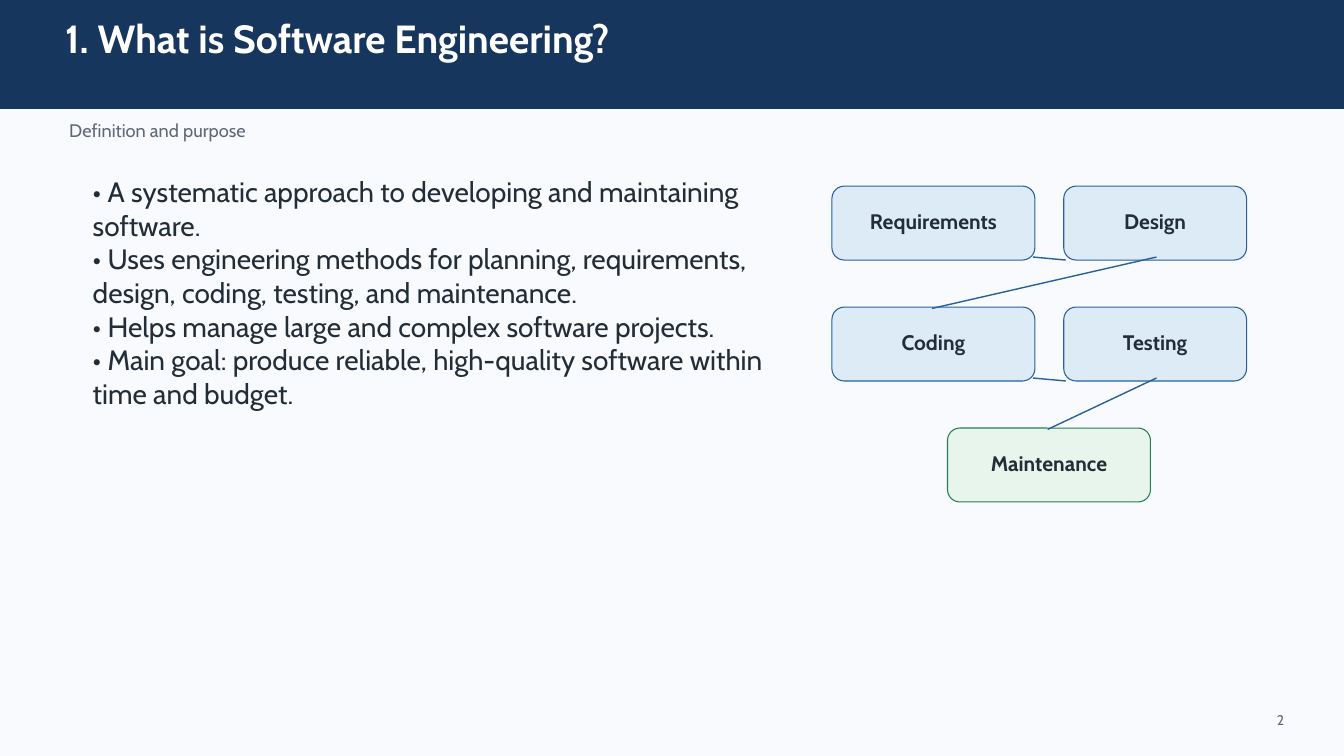
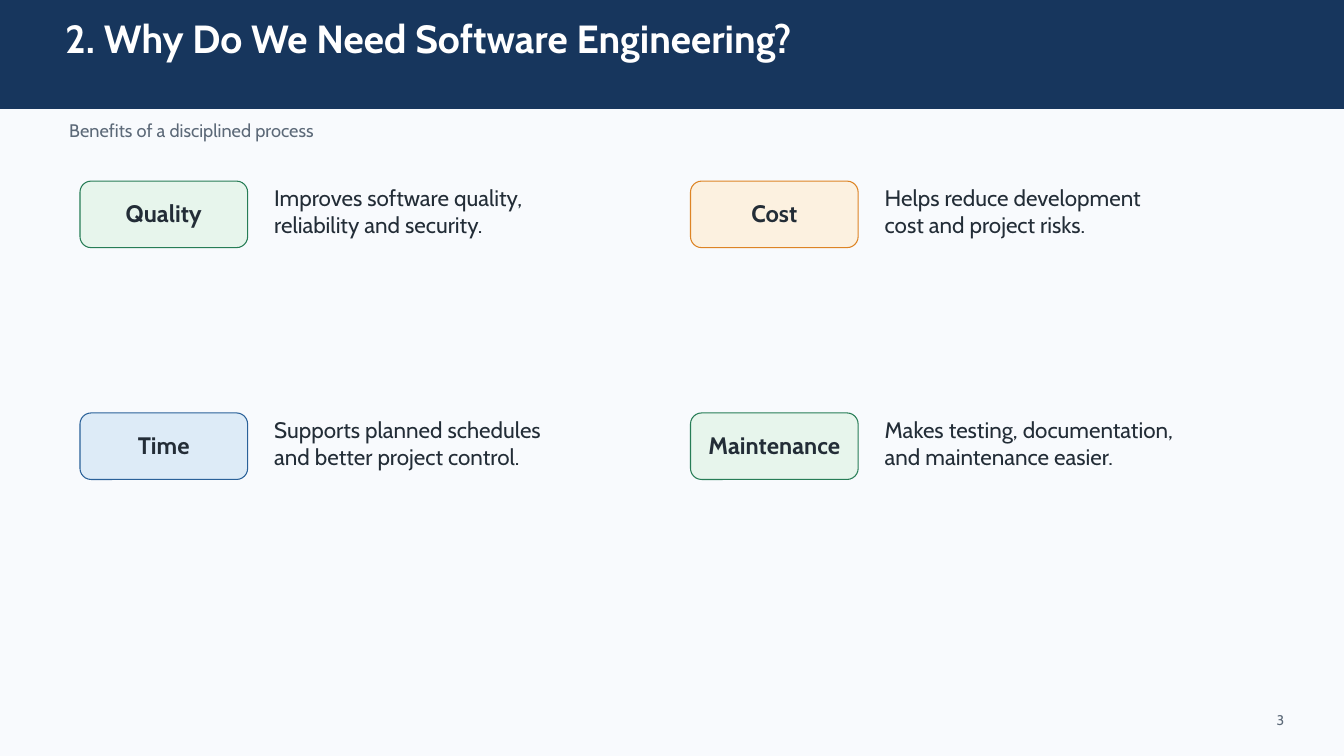
from dataclasses import dataclass

from lxml.etree import SubElement
from pptx import Presentation
from pptx.dml.color import RGBColor
from pptx.enum.shapes import MSO_CONNECTOR, MSO_SHAPE
from pptx.enum.text import MSO_ANCHOR, PP_ALIGN
from pptx.oxml.ns import qn
from pptx.util import Inches, Pt


@dataclass(frozen=True)
class Theme:
    font: str = "Cabin"
    background: str = "F8FAFD"
    navy: str = "17365D"
    white: str = "FFFFFF"
    muted: str = "5C6978"
    ink: str = "232D37"
    blue: tuple = ("DDEBF7", "2A6199")
    green: tuple = ("E7F5EC", "277D56")
    orange: tuple = ("FCF1E0", "DD8425")
    title: float = 42
    subtitle: float = 19.5
    number: float = 15
    bullet: float = 30
    step: float = 22.5
    benefit: float = 25.5
    detail: float = 24
    leading: float = 1.2
    outline: float = 1.13
    link: float = 1.5


@dataclass(frozen=True)
class Area:
    left: float
    top: float
    width: float
    height: float

    @property
    def right(self):
        return self.left + self.width

    @property
    def bottom(self):
        return self.top + self.height

    @property
    def middle(self):
        return self.left + self.width / 2


class SlideBuilder:
    COLUMNS = 200
    ROWS = 112.5

    def __init__(self, deck, theme):
        self.deck = deck
        self.theme = theme
        self.page = None

    def column(self, count):
        return round(self.deck.slide_width * count / self.COLUMNS)

    def row(self, count):
        return round(self.deck.slide_height * count / self.ROWS)

    def place(self, area):
        return (self.column(area.left), self.row(area.top),
                self.column(area.width), self.row(area.height))

    def start(self, title, subtitle, number):
        theme = self.theme
        self.page = self.deck.slides.add_slide(self.deck.slide_layouts[6])
        fill = self.page.background.fill
        fill.solid()
        fill.fore_color.rgb = RGBColor.from_string(theme.background)
        self.shape(MSO_SHAPE.RECTANGLE, Area(0, 0, self.COLUMNS, 16.2), theme.navy)
        self.text(Area(9.7, 2.1, 179.6, 9.5), [title], theme.title, theme.white, bold=True)
        self.text(Area(10.3, 17.7, 178.1, 4.8), [subtitle], theme.subtitle, theme.muted)
        self.text(Area(178.1, 105.9, 13, 3.2), [str(number)], theme.number, theme.muted,
                  align=PP_ALIGN.RIGHT)

    def shape(self, kind, area, fill, outline=None):
        shape = self.page.shapes.add_shape(kind, *self.place(area))
        shape.shadow.inherit = False
        shape.fill.solid()
        shape.fill.fore_color.rgb = RGBColor.from_string(fill)
        if outline:
            shape.line.color.rgb = RGBColor.from_string(outline)
            shape.line.width = Pt(self.theme.outline)
        else:
            shape.line.fill.background()
        return shape

    def fill_text(self, frame, lines, size, color, bold=False, align=PP_ALIGN.LEFT):
        frame.word_wrap = True
        frame.text = "\n".join(lines)
        for para in frame.paragraphs:
            para.alignment = align
            para.line_spacing = Pt(size * self.theme.leading)
            for span in para.runs:
                span.font.name = self.theme.font
                span.font.size = Pt(size)
                span.font.bold = bold
                span.font.color.rgb = RGBColor.from_string(color)

    def text(self, area, lines, size, color, bold=False, align=PP_ALIGN.LEFT):
        frame = self.page.shapes.add_textbox(*self.place(area)).text_frame
        frame.margin_left = frame.margin_right = 0
        frame.margin_top = frame.margin_bottom = 0
        self.fill_text(frame, lines, size, color, bold, align)

    def card(self, area, label, size, colors):
        frame = self.shape(MSO_SHAPE.ROUNDED_RECTANGLE, area, *colors).text_frame
        frame.margin_left = frame.margin_right = self.column(0.6)
        frame.margin_top, frame.margin_bottom = self.row(0.6), self.row(1.1)
        frame.vertical_anchor = MSO_ANCHOR.MIDDLE
        self.fill_text(frame, [label], size, self.theme.ink, True, PP_ALIGN.CENTER)

    def link(self, start, end):
        line = self.page.shapes.add_connector(
            MSO_CONNECTOR.STRAIGHT, self.column(start[0]), self.row(start[1]),
            self.column(end[0]), self.row(end[1]))
        line.line.color.rgb = RGBColor.from_string(self.theme.blue[1])
        line.line.width = Pt(self.theme.link)
        SubElement(line._element.spPr, qn("a:effectLst"))

    def link_cards(self, source, target):
        if source.top == target.top:
            self.link((source.right - 0.3, source.bottom - 0.45),
                      (target.left + 0.3, target.bottom))
        else:
            self.link((source.middle + 0.2, source.bottom - 0.45),
                      (target.middle - 0.2, target.top + 0.2))


def definition_slide(builder):
    theme = builder.theme
    builder.start("1. What is Software Engineering?", "Definition and purpose", 2)
    points = [
        "A systematic approach to developing and maintaining software.",
        "Uses engineering methods for planning, requirements, design, coding, testing, "
        "and maintenance.",
        "Helps manage large and complex software projects.",
        "Main goal: produce reliable, high-quality software within time and budget.",
    ]
    builder.text(Area(13.8, 26, 103.1, 70.3), [f"• {point}" for point in points],
                 theme.bullet, theme.ink)
    first_row, pitch, height = 27.7, 18, 11
    steps = [
        ("Requirements", 123.8, 0, 30.2, theme.blue),
        ("Design", 158.3, 0, 27.2, theme.blue),
        ("Coding", 123.8, 1, 30.2, theme.blue),
        ("Testing", 158.3, 1, 27.2, theme.blue),
        ("Maintenance", 141, 2, 30.2, theme.green),
    ]
    areas = []
    for label, left, level, width, colors in steps:
        area = Area(left, first_row + level * pitch, width, height)
        builder.card(area, label, theme.step, colors)
        areas.append(area)
    for source, target in zip(areas, areas[1:]):
        builder.link_cards(source, target)


def benefits_slide(builder):
    theme = builder.theme
    builder.start("2. Why Do We Need Software Engineering?",
                  "Benefits of a disciplined process", 3)
    benefits = [
        ("Quality", theme.green, ["Improves software quality,", "reliability and security."]),
        ("Cost", theme.orange, ["Helps reduce development", "cost and project risks."]),
        ("Time", theme.blue, ["Supports planned schedules", "and better project control."]),
        ("Maintenance", theme.green, ["Makes testing, documentation,", "and maintenance easier."]),
    ]
    for index, (label, colors, detail) in enumerate(benefits):
        level, side = divmod(index, 2)
        left, top = 11.9 + side * 90.85, 26.95 + level * 34.5
        builder.card(Area(left, top, 24.95, 9.9), label, theme.benefit, colors)
        builder.text(Area(left + 28.9, top + 0.45, 52.8, 12.9), detail,
                     theme.detail, theme.ink)


def main():
    deck = Presentation()
    deck.slide_width, deck.slide_height = Inches(20), Inches(11.25)
    builder = SlideBuilder(deck, Theme())
    definition_slide(builder)
    benefits_slide(builder)
    deck.save("out.pptx")


if __name__ == "__main__":
    main()
